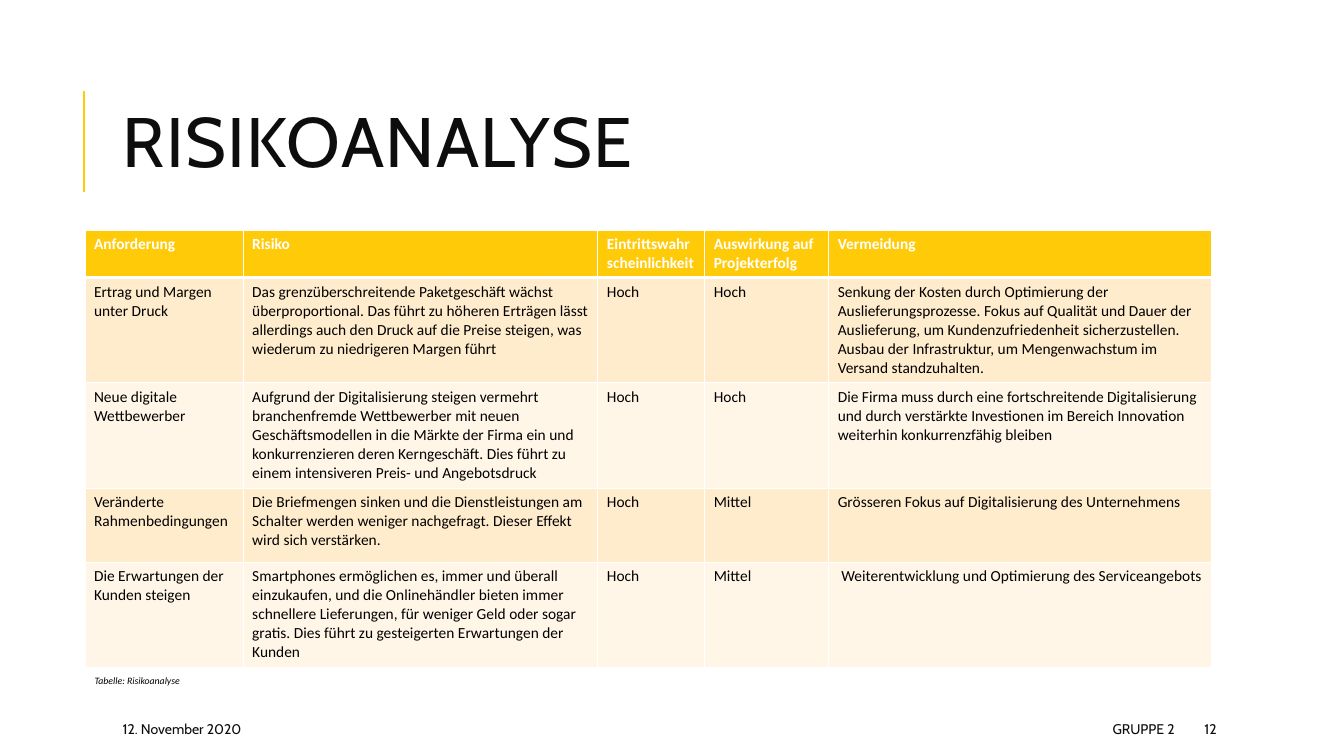
from dataclasses import dataclass
from itertools import product

from lxml.etree import SubElement as Sub
from pptx import Presentation
from pptx.dml.color import RGBColor as Rgb
from pptx.enum.shapes import MSO_CONNECTOR as Link
from pptx.enum.text import MSO_ANCHOR as Anchor, PP_ALIGN as Align
from pptx.oxml.ns import qn
from pptx.slide import Slide
from pptx.table import _Cell as Cell
from pptx.text.text import TextFrame as Frame
from pptx.util import Pt


@dataclass(frozen=True)
class Theme:
    gold: str = "FFCA08"
    bands: tuple[str, str] = ("FFECCC", "FFF6E7")
    ink: str = "0D0D0D"
    black: str = "000000"
    white: str = "FFFFFF"
    head: str = "Cabin"
    body: str = "Calibri"
    title: float = 50
    cell: float = 11
    foot: float = 10
    note: float = 7
    thin: float = 1
    thick: float = 3


@dataclass(frozen=True)
class Label:
    text: str
    left: float
    top: float
    width: float
    height: float
    size: float
    font: str = Theme.head
    color: str = Theme.ink
    align: Align = Align.LEFT
    anchor: Anchor = Anchor.MIDDLE
    slant: bool = False
    lead: float = 1.0
    track: float = 0


@dataclass(frozen=True)
class Risk:
    need: str
    risk: str
    odds: str
    impact: str
    remedy: str

    def cells(self) -> tuple[str, ...]:
        return self.need, self.risk, self.odds, self.impact, self.remedy


LABELS = [
    Label("RISIKOANALYSE", 80.6, 46.1, 765.4, 118, Theme.title, lead=0.8, track=1),
    Label("12. November 2020", 80.6, 509.8, 170, 21.6, Theme.foot),
    Label("GRUPPE 2", 381.6, 509.8, 464.4, 21.6, Theme.foot, align=Align.RIGHT),
    Label("12", 853.2, 509.8, 76.3, 21.6, Theme.foot),
    Label("Tabelle: Risikoanalyse", 60.5, 478.1, 125.3, 15.8, Theme.note,
          Theme.body, Theme.black, anchor=Anchor.TOP, slant=True),
]

WIDTHS = (113, 253.4, 76.3, 88.6, 273.6)
HEIGHTS = (33.5, 75, 75.5, 53, 75.5)

RISKS = [
    Risk("Anforderung", "Risiko", "Eintrittswahrscheinlichkeit",
         "Auswirkung auf Projekterfolg", "Vermeidung"),
    Risk("Ertrag und Margen unter Druck",
         "Das grenzüberschreitende Paketgeschäft wächst überproportional. "
         "Das führt zu höheren Erträgen lässt allerdings auch den Druck auf "
         "die Preise steigen, was wiederum zu niedrigeren Margen führt",
         "Hoch", "Hoch",
         "Senkung der Kosten durch Optimierung der Auslieferungsprozesse. "
         "Fokus auf Qualität und Dauer der Auslieferung, um "
         "Kundenzufriedenheit sicherzustellen. Ausbau der Infrastruktur, um "
         "Mengenwachstum im Versand standzuhalten."),
    Risk("Neue digitale Wettbewerber",
         "Aufgrund der Digitalisierung steigen vermehrt branchenfremde "
         "Wettbewerber mit neuen Geschäftsmodellen in die Märkte der Firma "
         "ein und konkurrenzieren deren Kerngeschäft. Dies führt zu einem "
         "intensiveren Preis- und Angebotsdruck",
         "Hoch", "Hoch",
         "Die Firma muss durch eine fortschreitende Digitalisierung und durch "
         "verstärkte Investionen im Bereich Innovation weiterhin "
         "konkurrenzfähig bleiben"),
    Risk("Veränderte Rahmenbedingungen",
         "Die Briefmengen sinken und die Dienstleistungen am Schalter werden "
         "weniger nachgefragt. Dieser Effekt wird sich verstärken.",
         "Hoch", "Mittel",
         "Grösseren Fokus auf Digitalisierung des Unternehmens"),
    Risk("Die Erwartungen der Kunden steigen",
         "Smartphones ermöglichen es, immer und überall einzukaufen, und die "
         "Onlinehändler bieten immer schnellere Lieferungen, für weniger Geld "
         "oder sogar gratis. Dies führt zu gesteigerten Erwartungen der Kunden",
         "Hoch", "Mittel",
         " Weiterentwicklung und Optimierung des Serviceangebots"),
]


def write(frame: Frame, text: str, *, size: float, font: str, color: str,
          bold: bool = False, slant: bool = False, align: Align = Align.LEFT,
          lead: float = 1.0, track: float = 0) -> None:
    frame.word_wrap = True
    para = frame.paragraphs[0]
    para.alignment, para.line_spacing = align, lead
    run = para.add_run()
    run.text = text
    face = run.font
    face.size, face.name, face.bold, face.italic = Pt(size), font, bold, slant
    face.color.rgb = Rgb.from_string(color)
    if track:
        run._r.get_or_add_rPr().set("spc", str(round(track * 100)))


def add_label(slide: Slide, label: Label) -> None:
    box = slide.shapes.add_textbox(Pt(label.left), Pt(label.top),
                                   Pt(label.width), Pt(label.height))
    box.text_frame.vertical_anchor = label.anchor
    write(box.text_frame, label.text, size=label.size, font=label.font,
          color=label.color, slant=label.slant, align=label.align,
          lead=label.lead, track=label.track)


def add_rule(slide: Slide) -> None:
    """Draw the gold bar left of the title."""
    rule = slide.shapes.add_connector(Link.STRAIGHT, Pt(59.8), Pt(136.8),
                                      Pt(59.8), Pt(64.8))
    rule.line.color.rgb = Rgb.from_string(Theme.gold)
    rule.line.width = Pt(1.5)
    Sub(rule._element.spPr, qn("a:effectLst"))


def edge(cell: Cell, top: float, base: float) -> None:
    """Give the cell white borders; call before the fill is set."""
    props = cell._tc.get_or_add_tcPr()
    sides = {"L": Theme.thin, "R": Theme.thin, "T": top, "B": base}
    for side, width in sides.items():
        line = Sub(props, qn(f"a:ln{side}"), w=str(Pt(width)))
        Sub(Sub(line, qn("a:solidFill")), qn("a:srgbClr"), val=Theme.white)


def add_grid(slide: Slide) -> None:
    grid = slide.shapes.add_table(len(RISKS), len(WIDTHS), Pt(60.7), Pt(164.3),
                                  Pt(sum(WIDTHS)), Pt(sum(HEIGHTS))).table
    for col, width in zip(grid.columns, WIDTHS):
        col.width = Pt(width)
    for row, height in zip(grid.rows, HEIGHTS):
        row.height = Pt(height)
    for row, col in product(range(len(RISKS)), range(len(WIDTHS))):
        cell, head = grid.cell(row, col), row == 0
        cell.margin_left = cell.margin_right = Pt(6.5)
        cell.margin_top = cell.margin_bottom = Pt(3.4)
        edge(cell, top=Theme.thick if row == 1 else Theme.thin,
             base=Theme.thick if head else Theme.thin)
        cell.fill.solid()
        tint = Theme.gold if head else Theme.bands[(row - 1) % 2]
        cell.fill.fore_color.rgb = Rgb.from_string(tint)
        write(cell.text_frame, RISKS[row].cells()[col], size=Theme.cell,
              font=Theme.body, bold=head,
              color=Theme.white if head else Theme.black)


def main() -> None:
    deck = Presentation()
    deck.slide_width, deck.slide_height = Pt(960), Pt(540)
    slide = deck.slides.add_slide(deck.slide_layouts[6])
    add_rule(slide)
    add_grid(slide)
    for label in LABELS:
        add_label(slide, label)
    deck.save("out.pptx")


if __name__ == "__main__":
    main()
